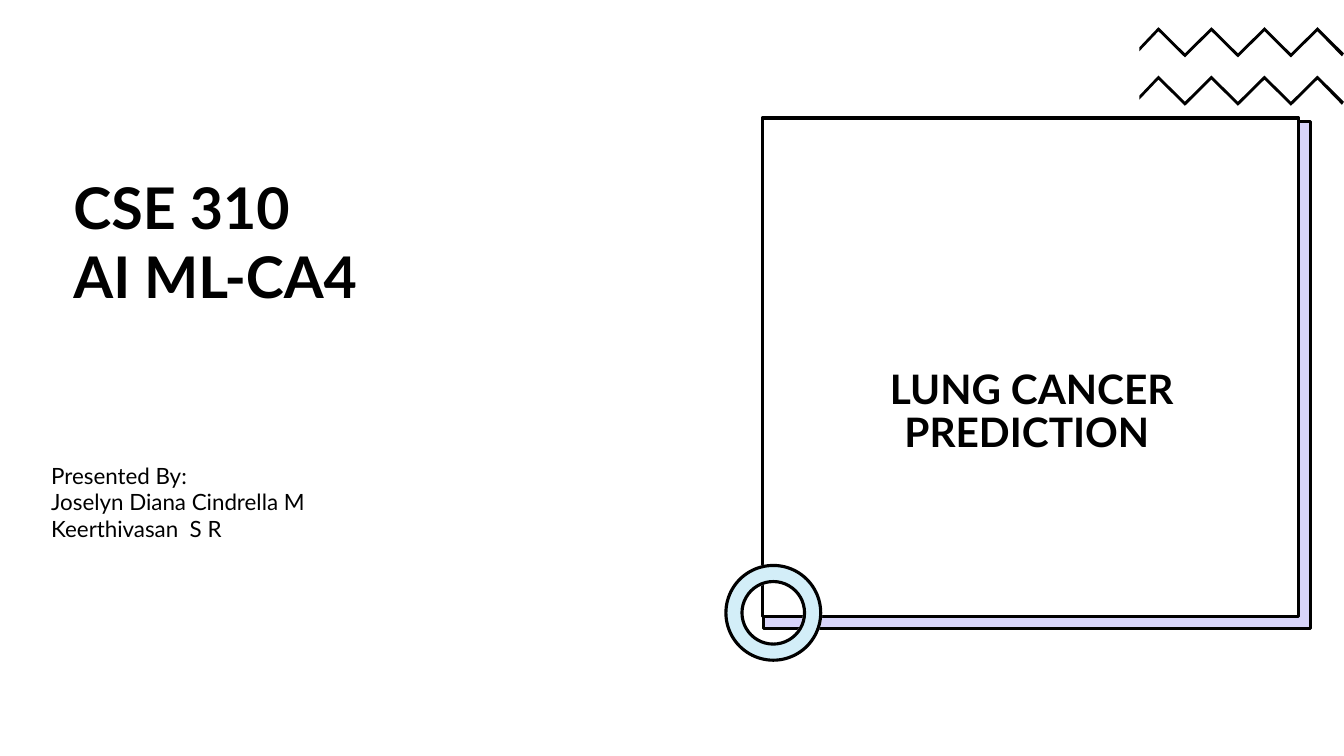
from dataclasses import dataclass
from typing import Optional

from lxml.etree import SubElement
from pptx import Presentation
from pptx.dml.color import RGBColor
from pptx.enum.shapes import MSO_SHAPE as Preset
from pptx.enum.text import MSO_ANCHOR as Anchor, MSO_AUTO_SIZE as AutoSize, PP_ALIGN as Align
from pptx.oxml.ns import qn
from pptx.shapes.autoshape import Shape
from pptx.shapes.shapetree import SlideShapes
from pptx.util import Inches, Pt

WHITE = RGBColor(0xFF, 0xFF, 0xFF)
BLACK = RGBColor(0x00, 0x00, 0x00)
VIOLET = RGBColor(0x3B, 0x2C, 0xE7)
SKY = RGBColor(0x23, 0xAD, 0xDC)
FONT = "Lato"
SLIDE_WIDTH, SLIDE_HEIGHT = 13.33, 7.5
ZIGZAG_TOPS = (0.27, 0.75)
ZIGZAG_PEAKS = 8


@dataclass(frozen=True)
class Box:
    left: float
    top: float
    width: float
    height: float

    def emu(self) -> tuple[int, ...]:
        return tuple(Inches(v) for v in (self.left, self.top, self.width, self.height))


@dataclass(frozen=True)
class Panel:
    box: Box
    fill: RGBColor = WHITE
    line: Optional[RGBColor] = None
    opacity: int = 100
    preset: Preset = Preset.RECTANGLE
    thickness: Optional[float] = None


@dataclass(frozen=True)
class Caption:
    box: Box
    lines: tuple[str, ...]
    size: float
    bold: bool = False
    align: Align = Align.LEFT
    anchor: Anchor = Anchor.TOP
    spacing: float = 1.0
    inset: float = 0.1
    autosize: AutoSize = AutoSize.SHAPE_TO_FIT_TEXT


SHADOW_BOX = Box(7.57, 1.21, 5.43, 5.03)
RING_BOX = Box(7.2, 5.61, 0.94, 0.94)

BACKDROP = (
    Panel(Box(0, 0, SLIDE_WIDTH, SLIDE_HEIGHT)),
    Panel(Box(5.02, 0, 8.31, SLIDE_HEIGHT)),
)
CARD = (
    Panel(SHADOW_BOX, line=WHITE),
    Panel(SHADOW_BOX, VIOLET, BLACK, 20),
    Panel(Box(7.56, 1.17, 5.32, 4.95), line=BLACK),
)
RING = (
    Panel(RING_BOX, WHITE, WHITE, 100, Preset.DONUT, 0.17),
    Panel(RING_BOX, SKY, BLACK, 20, Preset.DONUT, 0.17),
)
TOPIC = Caption(
    Box(7.87, 1.37, 4.73, 3.21), ("LUNG CANCER PREDICTION ",), 29, True,
    Align.CENTER, Anchor.BOTTOM, 0.9, 0.05, AutoSize.NONE,
)
COURSE = Caption(Box(0.63, 1.61, 5.98, 1.58), ("CSE 310", "AI ML-CA4"), 41, True)
PRESENTERS = Caption(
    Box(0.41, 4.48, 5.32, 1.01),
    ("Presented By:", "Joselyn Diana Cindrella M", "Keerthivasan  S R"), 16,
)


def paint(shape: Shape, fill: RGBColor, line: Optional[RGBColor] = None, opacity: int = 100) -> None:
    shape.shadow.inherit = False
    shape.fill.solid()
    shape.fill.fore_color.rgb = fill
    if opacity < 100:
        color = shape._element.spPr.find(qn("a:solidFill"))[0]
        SubElement(color, qn("a:alpha")).set("val", str(opacity * 1000))
    if line is None:
        shape.line.fill.background()
    else:
        shape.line.color.rgb = line
        shape.line.width = Pt(2.25)


def draw_panel(shapes: SlideShapes, panel: Panel) -> None:
    shape = shapes.add_shape(panel.preset, *panel.box.emu())
    if panel.thickness is not None:
        shape.adjustments[0] = panel.thickness
    paint(shape, panel.fill, panel.line, panel.opacity)


def draw_zigzag(shapes: SlideShapes, top: float, fill: RGBColor) -> None:
    left, first_peak, right = 11.3, 11.49, SLIDE_WIDTH
    step = (right - first_peak) / (ZIGZAG_PEAKS - 1)
    upper = [(first_peak + i * step, top + 0.26 * (i % 2)) for i in range(ZIGZAG_PEAKS)]
    lower = [(x, y + 0.04) for x, y in reversed(upper[:-1])]
    outline = upper + [(right - 0.02, top + 0.29)] + lower + [(left, top + 0.24), (left, top + 0.2)]
    points = [(Inches(x), Inches(y)) for x, y in outline]
    builder = shapes.build_freeform(*points[0])
    builder.add_line_segments(points[1:], close=True)
    paint(builder.convert_to_shape(), fill)


def draw_caption(shapes: SlideShapes, caption: Caption) -> None:
    frame = shapes.add_textbox(*caption.box.emu()).text_frame
    frame.word_wrap = True
    frame.auto_size = caption.autosize
    frame.vertical_anchor = caption.anchor
    frame.margin_left = frame.margin_right = Inches(0.1)
    frame.margin_top = frame.margin_bottom = Inches(caption.inset)
    for index, line in enumerate(caption.lines):
        paragraph = frame.add_paragraph() if index else frame.paragraphs[0]
        paragraph.alignment = caption.align
        paragraph.line_spacing = caption.spacing
        run = paragraph.add_run()
        run.text = line
        run.font.name = FONT
        run.font.size = Pt(caption.size)
        run.font.bold = caption.bold
        run.font.color.rgb = BLACK


def main() -> None:
    deck = Presentation()
    deck.slide_width, deck.slide_height = Inches(SLIDE_WIDTH), Inches(SLIDE_HEIGHT)
    shapes = deck.slides.add_slide(deck.slide_layouts[6]).shapes
    for panel in BACKDROP:
        draw_panel(shapes, panel)
    for top in ZIGZAG_TOPS:
        for fill in (WHITE, BLACK):
            draw_zigzag(shapes, top, fill)
    for panel in CARD:
        draw_panel(shapes, panel)
    draw_caption(shapes, TOPIC)
    for panel in RING:
        draw_panel(shapes, panel)
    for caption in (COURSE, PRESENTERS):
        draw_caption(shapes, caption)
    deck.save("out.pptx")


if __name__ == "__main__":
    main()
